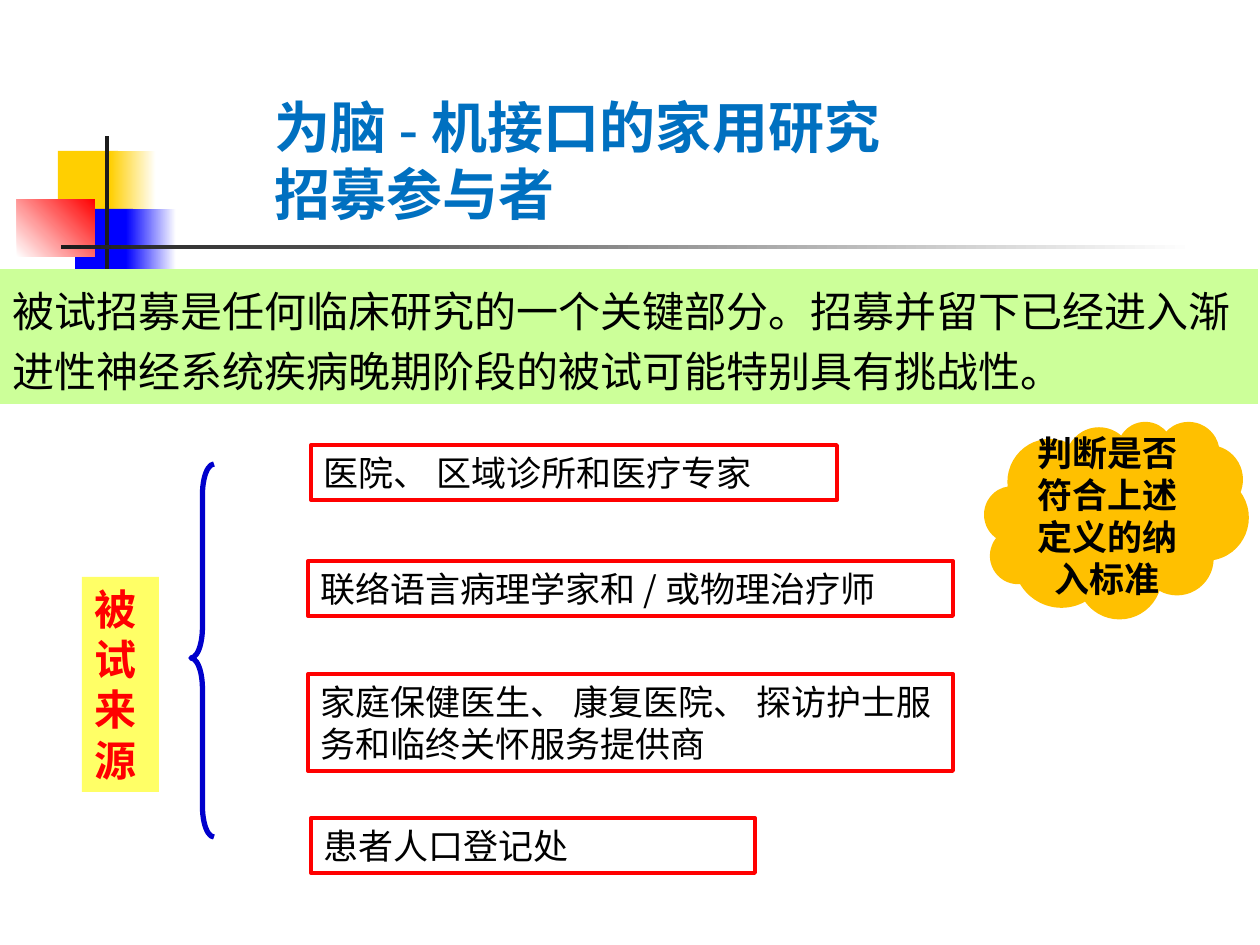
"""Build the slide on recruiting participants for home BCI studies."""
import pptx
import pptx.util
import pptx.dml.color
import pptx.enum.shapes
import pptx.enum.text
import pptx.oxml
import pptx.oxml.ns

RGB = pptx.dml.color.RGBColor
KIND = pptx.enum.shapes.MSO_SHAPE
TEXT = pptx.enum.text
SCALE = 914400 / 126

WHITE = RGB(0xFF, 0xFF, 0xFF)
BLACK = RGB(0, 0, 0)
GOLD = RGB(0xFF, 0xCF, 0x01)
BLUE = RGB(0, 0, 0xFF)
RED = RGB(0xFF, 0, 0)
DARK = RGB(0x1C, 0x1C, 0x1C)
SKY = RGB(0, 0x70, 0xC0)
GREEN = RGB(0xCC, 0xFF, 0x99)
YELLOW = RGB(0xFF, 0xFF, 0x66)
NAVY = RGB(0, 0, 0xCC)
AMBER = RGB(0xFF, 0xC0, 0)

SANS = "Noto Sans CJK SC"
SERIF = "Times New Roman"

BLOCKS = [
    ((58, 151, 60, 65), (GOLD,)),
    ((110, 151, 46, 65), (GOLD, WHITE)),
    ((75, 209, 58, 65), (BLUE,)),
    ((126, 209, 50, 65), (BLUE, WHITE)),
    ((17, 199, 78, 58), (WHITE, RED), 45),
    ((105, 136, 4, 145), (DARK,)),
    ((61, 245, 1134, 4), (DARK, WHITE)),
]
SOURCES = [
    ((311, 445, 526, 55), "医院、 区域诊所和医疗专家"),
    ((308, 561, 645, 55), "联络语言病理学家和 / 或物理治疗师"),
    ((308, 674, 645, 97), "家庭保健医生、 康复医院、 探访护士服务和临终关怀服务提供商"),
    ((311, 818, 444, 55), "患者人口登记处"),
]


def px(n):
    """Turn px into EMU."""
    return pptx.util.Emu(round(n * SCALE))


def shape(shapes, kind, box, fill=None, line=None, width=1):
    """Add a preset shape with a plain fill and line."""
    item = shapes.add_shape(kind, *map(px, box))
    item.shadow.inherit = False
    if fill is None:
        item.fill.background()
    else:
        item.fill.solid()
        item.fill.fore_color.rgb = fill
    if line is None:
        item.line.fill.background()
    else:
        item.line.color.rgb = line
        item.line.width = pptx.util.Pt(width)
    return item


def block(shapes, box, hues, turn=0):
    """Add a bar in one hue, or fading between two."""
    item = shape(shapes, KIND.RECTANGLE, box, hues[0])
    if len(hues) > 1:
        item.fill.gradient()
        item.fill.gradient_angle = turn
        for stop, hue in zip(item.fill.gradient_stops, hues):
            stop.color.rgb = hue


def write(item, words, size, hue=BLACK, face=SANS, bold=False,
          align=TEXT.PP_ALIGN.LEFT, anchor=TEXT.MSO_ANCHOR.TOP):
    """Write one wrapped paragraph into a shape and return it."""
    frame = item.text_frame
    frame.word_wrap = True
    frame.vertical_anchor = anchor
    para = frame.paragraphs[0]
    para.text = words
    para.alignment = align
    font = para.font
    font.size = pptx.util.Pt(size)
    font.bold = bold
    font.color.rgb = hue
    font.name = face
    props = para._p.pPr.find(pptx.oxml.ns.qn("a:defRPr"))
    east = pptx.oxml.parse_xml(
        f'<a:ea {pptx.oxml.ns.nsdecls("a")} typeface="{SANS}"/>')
    props.append(east)
    return para


def origin(shapes):
    """Add the label and brace that gather the sources."""
    label = shape(shapes, KIND.RECTANGLE, (82, 577, 77, 215), YELLOW)
    write(label, "被试来源", 24, RED, SERIF, True)
    brace = shape(shapes, KIND.LEFT_BRACE, (191, 464, 23, 373),
                  line=NAVY, width=3)
    brace.adjustments[0] = 1.33
    brace.adjustments[1] = 0.52


def main():
    """Build and save the slide."""
    deck = pptx.Presentation()
    deck.slide_width, deck.slide_height = px(1260), px(945)
    shapes = deck.slides.add_slide(deck.slide_layouts[6]).shapes

    for args in BLOCKS:
        block(shapes, *args)

    title = shapes.add_textbox(*map(px, (262, 86, 670, 149)))
    write(title, "为脑 - 机接口的家用研究招募参与者", 32, SKY, SERIF, True)

    band = shape(shapes, KIND.RECTANGLE, (0, 269, 1258, 135), GREEN)
    intro = write(band, "被试招募是任何临床研究的一个关键部分。招募并留下已经进入"
                  "渐进性神经系统疾病晚期阶段的被试可能特别具有挑战性。", 24)
    intro.line_spacing = 1.2

    origin(shapes.add_group_shape().shapes)

    for box, words in SOURCES:
        item = shape(shapes, KIND.RECTANGLE, box, line=RED, width=2.25)
        write(item, words, 20)

    cloud = shape(shapes, KIND.CLOUD, (986, 423, 261, 194), AMBER, AMBER, 2)
    write(cloud, "判断是否符合上述定义的纳入标准", 20, bold=True,
          align=TEXT.PP_ALIGN.CENTER, anchor=TEXT.MSO_ANCHOR.MIDDLE)

    deck.save("out.pptx")


if __name__ == "__main__":
    main()
